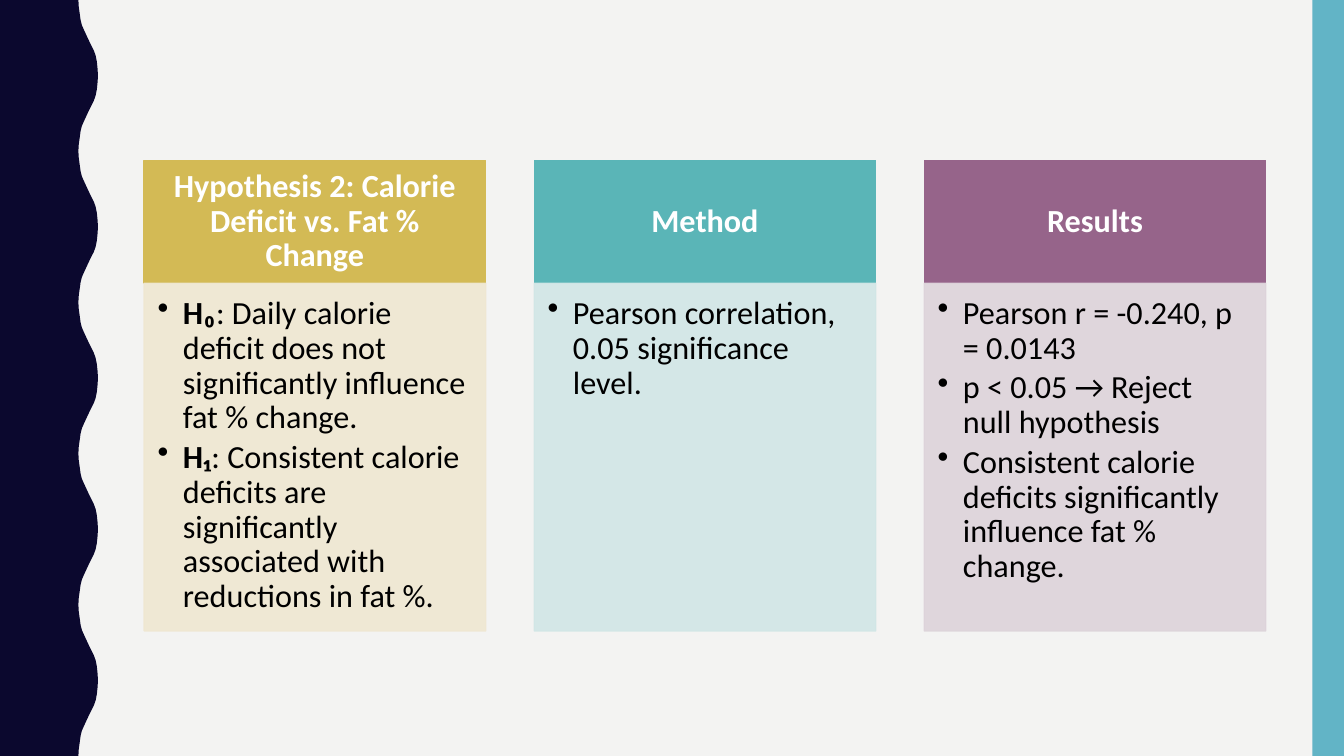
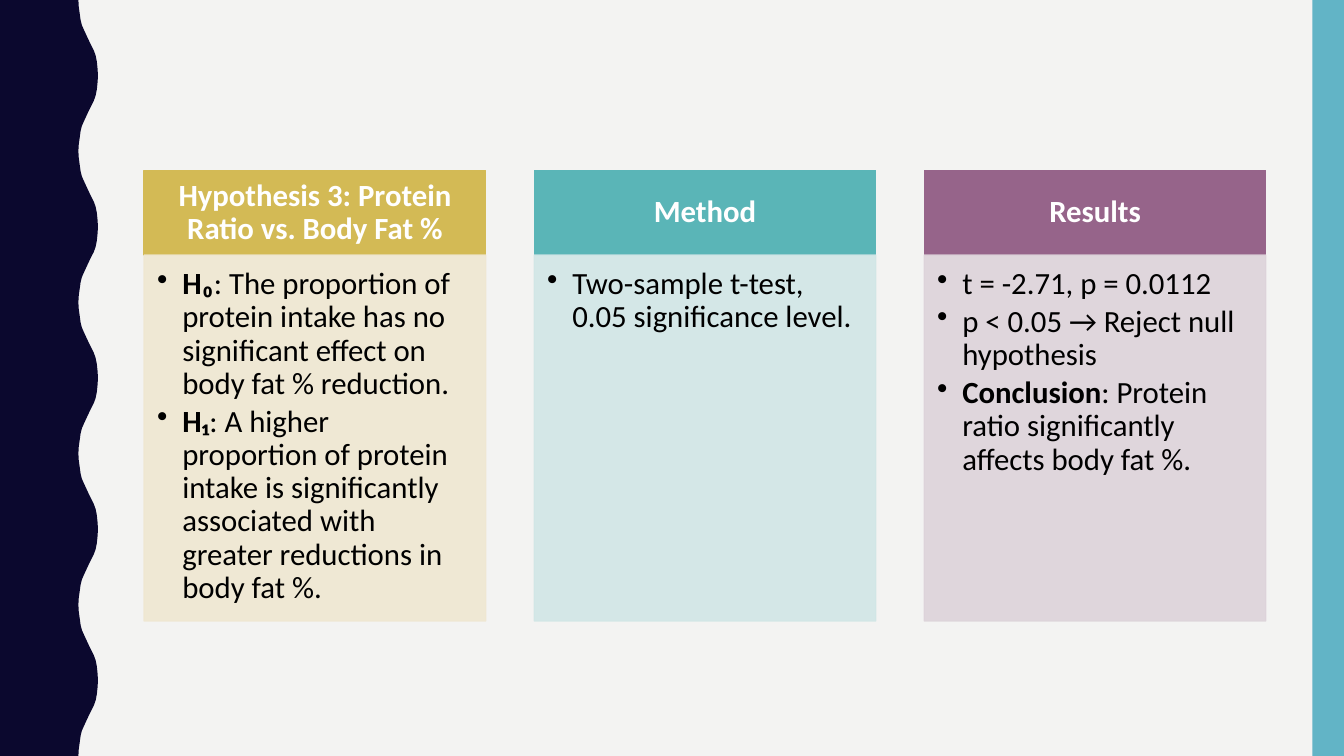
import pptx
import pptx.dml.color
import pptx.enum.shapes
import pptx.enum.text
import pptx.oxml
import pptx.oxml.ns
import pptx.util

Pt = pptx.util.Pt
RECTANGLE = pptx.enum.shapes.MSO_SHAPE.RECTANGLE
ANCHOR = pptx.enum.text.MSO_ANCHOR
ALIGN = pptx.enum.text.PP_ALIGN

SLIDE_WIDTH, SLIDE_HEIGHT = 960, 540
BACKGROUND, NAVY, SKY = "F3F3F2", "0B082E", "62B4C6"
WHITE, BLACK = "FFFFFF", "000000"
FONT = "Calibri"

# (header colour, body colour) for each column
COLUMN_COLOURS = [("D3BA55", "EFE7D1"), ("5AB5B7", "D1E6E6"), ("96648A", "DDD3DA")]
COLUMN_LEFT, COLUMN_WIDTH, COLUMN_PITCH = 103, 244, 278.6
BULLET_INDENT = 18

WAVE_PERIOD = 108
HALF_WAVE = [(56, 0), (56.3, 5), (57, 10), (57.6, 14.4), (58.5, 18), (59.8, 21),
             (61.2, 24), (62.6, 27), (64, 30), (65.5, 33), (67, 36), (68.3, 39.6),
             (69.2, 44), (69.7, 49), (70, 54)]

# Each bullet is (bold lead, plain text)
SLIDES = [
    {"top": 114.5, "header_height": 87.8, "body_height": 248.4, "size": 23, "columns": [
        ("Hypothesis 2: Calorie Deficit vs. Fat % Change", [
            ("H₀", ": Daily calorie deficit does not significantly influence fat % change."),
            ("H₁", ": Consistent calorie deficits are significantly associated with "
                   "reductions in fat %.")]),
        ("Method", [("", "Pearson correlation, 0.05 significance level.")]),
        ("Results", [
            ("", "Pearson r = -0.240, p = 0.0143"),
            ("", "p < 0.05 → Reject null hypothesis"),
            ("", "Consistent calorie deficits significantly influence fat % change.")]),
    ]},
    {"top": 121.7, "header_height": 60.5, "body_height": 261.4, "size": 22, "columns": [
        ("Hypothesis 3: Protein Ratio vs. Body Fat %", [
            ("H₀", ": The proportion of protein intake has no significant effect on "
                   "body fat % reduction."),
            ("H₁", ": A higher proportion of protein intake is significantly associated "
                   "with greater reductions in body fat %.")]),
        ("Method", [("", "Two-sample t-test, 0.05 significance level.")]),
        ("Results", [
            ("", "t = -2.71, p = 0.0112"),
            ("", "p < 0.05 → Reject null hypothesis"),
            ("Conclusion", ": Protein ratio significantly affects body fat %.")]),
    ]},
]


def set_colour(colour_format, colour, opacity=100):
    """Set a fill's, line's or font's colour; opacity is in percent."""
    colour_format.rgb = pptx.dml.color.RGBColor.from_string(colour)


def paint(shape, colour, outlined=True, opacity=100):
    """Give a shape one flat colour, without shadow."""
    shape.shadow.inherit = False
    shape.fill.solid()
    set_colour(shape.fill.fore_color, colour)
    if outlined:
        shape.line.width = Pt(1)
        set_colour(shape.line.color, colour)
    else:
        shape.line.fill.background()
    if opacity < 100:
        for colour_element in shape.element.spPr.iter(pptx.oxml.ns.qn("a:srgbClr")):
            alpha = pptx.oxml.parse_xml(
                f'<a:alpha {pptx.oxml.ns.nsdecls("a")} val="{opacity * 1000}"/>')
            colour_element.append(alpha)


presentation = pptx.Presentation()
presentation.slide_width = Pt(SLIDE_WIDTH)
presentation.slide_height = Pt(SLIDE_HEIGHT)
layout = presentation.slide_layouts.get_by_name("Blank")
layout.background.fill.solid()
set_colour(layout.background.fill.fore_color, BACKGROUND)
slides = [presentation.slides.add_slide(layout) for _ in SLIDES]

# Shared bands: drawn on a slide, then moved to the layout
wave_points = []
for period in range(SLIDE_HEIGHT // WAVE_PERIOD):
    start = period * WAVE_PERIOD
    wave_points += [(x, start + y) for x, y in HALF_WAVE]
    wave_points += [(x, start + WAVE_PERIOD - y) for x, y in reversed(HALF_WAVE)]
outline = wave_points + [(0, SLIDE_HEIGHT)]
builder = slides[0].shapes.build_freeform(0, 0)
builder.add_line_segments([(Pt(x), Pt(y)) for x, y in outline])
wave_band = builder.convert_to_shape()
right_band = slides[0].shapes.add_shape(
    RECTANGLE, Pt(937.5), 0, Pt(22.5), Pt(SLIDE_HEIGHT))
for band, colour in ((wave_band, NAVY), (right_band, SKY)):
    paint(band, colour, outlined=False)
    layout.shapes.element.append(band.element)

for slide, content in zip(slides, SLIDES):
    size, top = content["size"], content["top"]
    body_top = top + content["header_height"]
    for index, (heading, bullets) in enumerate(content["columns"]):
        header_colour, body_colour = COLUMN_COLOURS[index]
        left = Pt(COLUMN_LEFT + index * COLUMN_PITCH)

        header = slide.shapes.add_shape(
            RECTANGLE, left, Pt(top), Pt(COLUMN_WIDTH), Pt(content["header_height"]))
        paint(header, header_colour)
        body = slide.shapes.add_shape(
            RECTANGLE, left, Pt(body_top), Pt(COLUMN_WIDTH), Pt(content["body_height"]))
        paint(body, body_colour, opacity=90)

        frame = header.text_frame
        frame.vertical_anchor = ANCHOR.MIDDLE
        frame.margin_left = frame.margin_right = Pt(0.56 * size)
        frame.margin_top = frame.margin_bottom = Pt(0.32 * size)
        frame.text = heading
        frame.paragraphs[0].alignment = ALIGN.CENTER
        frame.paragraphs[0].font.bold = True

        frame = body.text_frame
        frame.vertical_anchor = ANCHOR.TOP
        frame.margin_left = frame.margin_top = Pt(0.42 * size)
        frame.margin_right, frame.margin_bottom = Pt(0.56 * size), Pt(0.63 * size)
        for number, (lead, text) in enumerate(bullets):
            paragraph = frame.add_paragraph() if number else frame.paragraphs[0]
            paragraph.alignment = ALIGN.LEFT
            paragraph.space_after = Pt(0.15 * size)
            if lead:
                run = paragraph.add_run()
                run.text = lead
                run.font.bold = True
            paragraph.add_run().text = text
            properties = paragraph._p.get_or_add_pPr()
            properties.set("marL", str(Pt(BULLET_INDENT)))
            properties.set("indent", str(-Pt(BULLET_INDENT)))
            properties.append(pptx.oxml.parse_xml(
                f'<a:buChar {pptx.oxml.ns.nsdecls("a")} char="•"/>'))

        for shape, text_colour in ((header, WHITE), (body, BLACK)):
            for paragraph in shape.text_frame.paragraphs:
                paragraph.line_spacing = 0.9
                paragraph.font.name = FONT
                paragraph.font.size = Pt(size)
                set_colour(paragraph.font.color, text_colour)

presentation.save("out.pptx")
